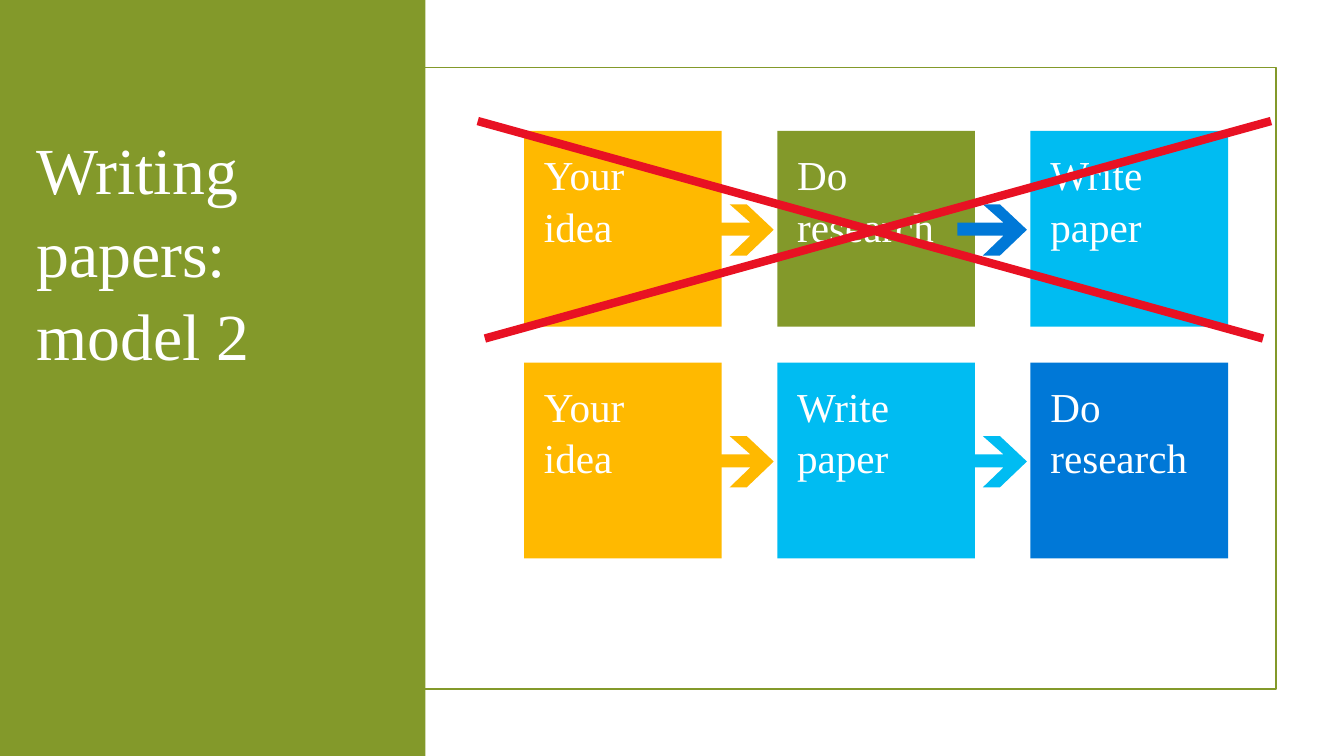
from typing import NamedTuple

from lxml import etree
from pptx import Presentation
from pptx.dml.color import RGBColor
from pptx.enum.shapes import MSO_CONNECTOR, MSO_SHAPE
from pptx.enum.text import MSO_ANCHOR, MSO_AUTO_SIZE, PP_ALIGN
from pptx.oxml.ns import qn
from pptx.util import Cm, Pt

RECT = MSO_SHAPE.RECTANGLE
STRAIGHT = MSO_CONNECTOR.STRAIGHT
TOP = MSO_ANCHOR.TOP
LEFT = PP_ALIGN.LEFT
FIXED = MSO_AUTO_SIZE.NONE

WHITE = RGBColor(0xFF, 0xFF, 0xFF)
GREEN = RGBColor(0x83, 0x99, 0x2A)
AMBER = RGBColor(0xFF, 0xB9, 0x00)
SKY = RGBColor(0x00, 0xBC, 0xF2)
BLUE = RGBColor(0x00, 0x78, 0xD7)
RED = RGBColor(0xE8, 0x11, 0x23)

FONT = "Times New Roman"

# Grid of tiles, in centimetres
GRID_X, GRID_Y = 13.21, 3.3
STEP_X, STEP_Y = 6.38, 5.84
TILE_W, TILE_H = 4.98, 4.93
ARROW_DX, ARROW_DY = 4.54, 1.85

# Arrow outline, in hundredths of a centimetre
ARROW = [(116, 46), (64, 0), (107, 0), (175, 64), (107, 129),
         (64, 129), (116, 79), (0, 79), (0, 46)]


class Step(NamedTuple):
    text: str
    fill: RGBColor
    arrow: RGBColor | None = None


class Stroke(NamedTuple):
    x1: float
    y1: float
    x2: float
    y2: float


ROWS = [
    [Step("Your idea", AMBER, AMBER), Step("Do research", GREEN, BLUE),
     Step("Write paper", SKY)],
    [Step("Your idea", AMBER, AMBER), Step("Write paper", SKY, SKY),
     Step("Do research", BLUE)],
]
CROSS = [Stroke(12.04, 3.05, 31.83, 8.53), Stroke(12.22, 8.53, 32.03, 3.05)]


def write(shape, text: str, *, size: float, inset_x: float, inset_y: float,
          color: RGBColor = WHITE, spacing: float = 1.05) -> None:
    frame = shape.text_frame
    frame.word_wrap = True
    frame.auto_size = FIXED
    frame.vertical_anchor = TOP
    frame.margin_left = frame.margin_right = Cm(inset_x)
    frame.margin_top = frame.margin_bottom = Cm(inset_y)
    frame.text = text
    para = frame.paragraphs[0]
    para.alignment = LEFT
    para.line_spacing = spacing
    font = para.runs[0].font
    font.name, font.size, font.bold = FONT, Pt(size), False
    font.color.rgb = color


def paint(shape, fill: RGBColor) -> None:
    shape.shadow.inherit = False
    shape.fill.solid()
    shape.fill.fore_color.rgb = fill
    shape.line.fill.background()


def add_rect(slide, x: float, y: float, w: float, h: float, fill: RGBColor):
    rect = slide.shapes.add_shape(RECT, Cm(x), Cm(y), Cm(w), Cm(h))
    paint(rect, fill)
    return rect


def add_frame(slide) -> None:
    frame = add_rect(slide, 1.68, 1.7, 30.48, 15.67, WHITE)
    frame.fill.background()
    frame.line.color.rgb = GREEN
    frame.line.width = Pt(1.25)


def add_title(slide) -> None:
    title = slide.shapes.title
    title.left, title.top = Cm(0.66), Cm(2.9)
    title.width, title.height = Cm(9.42), Cm(5.94)
    write(title, "Writing papers: model 2", size=47, inset_x=0.25, inset_y=0.25)
    # Lift the title above the green panel
    slide.shapes.element.append(title.element)


def add_arrow(slide, x: float, y: float, fill: RGBColor) -> None:
    pen = slide.shapes.build_freeform(*ARROW[0], scale=Cm(0.01))
    pen.add_line_segments(ARROW[1:], close=True)
    paint(pen.convert_to_shape(Cm(x), Cm(y)), fill)


def add_row(slide, y: float, steps: list[Step]) -> None:
    for col, step in enumerate(steps):
        tile = add_rect(slide, GRID_X + col * STEP_X, y, TILE_W, TILE_H, step.fill)
        write(tile, step.text, size=29.4, inset_x=0.5, inset_y=0.4)
    for col, step in enumerate(steps):
        if step.arrow is not None:
            add_arrow(slide, GRID_X + col * STEP_X + ARROW_DX, y + ARROW_DY,
                      step.arrow)


def add_stroke(slide, stroke: Stroke) -> None:
    line = slide.shapes.add_connector(STRAIGHT, *(Cm(v) for v in stroke))
    line.line.color.rgb = RED
    line.line.width = Pt(6)
    etree.SubElement(line.element.spPr, qn("a:effectLst"))


def main() -> None:
    deck = Presentation()
    deck.slide_width, deck.slide_height = Cm(33.87), Cm(19.05)
    slide = deck.slides.add_slide(deck.slide_layouts[5])
    add_frame(slide)
    add_rect(slide, 0, 0, 10.72, 19.05, GREEN)
    add_title(slide)
    for row, steps in enumerate(ROWS):
        add_row(slide, GRID_Y + row * STEP_Y, steps)
    for stroke in CROSS:
        add_stroke(slide, stroke)
    deck.save("out.pptx")


if __name__ == "__main__":
    main()
